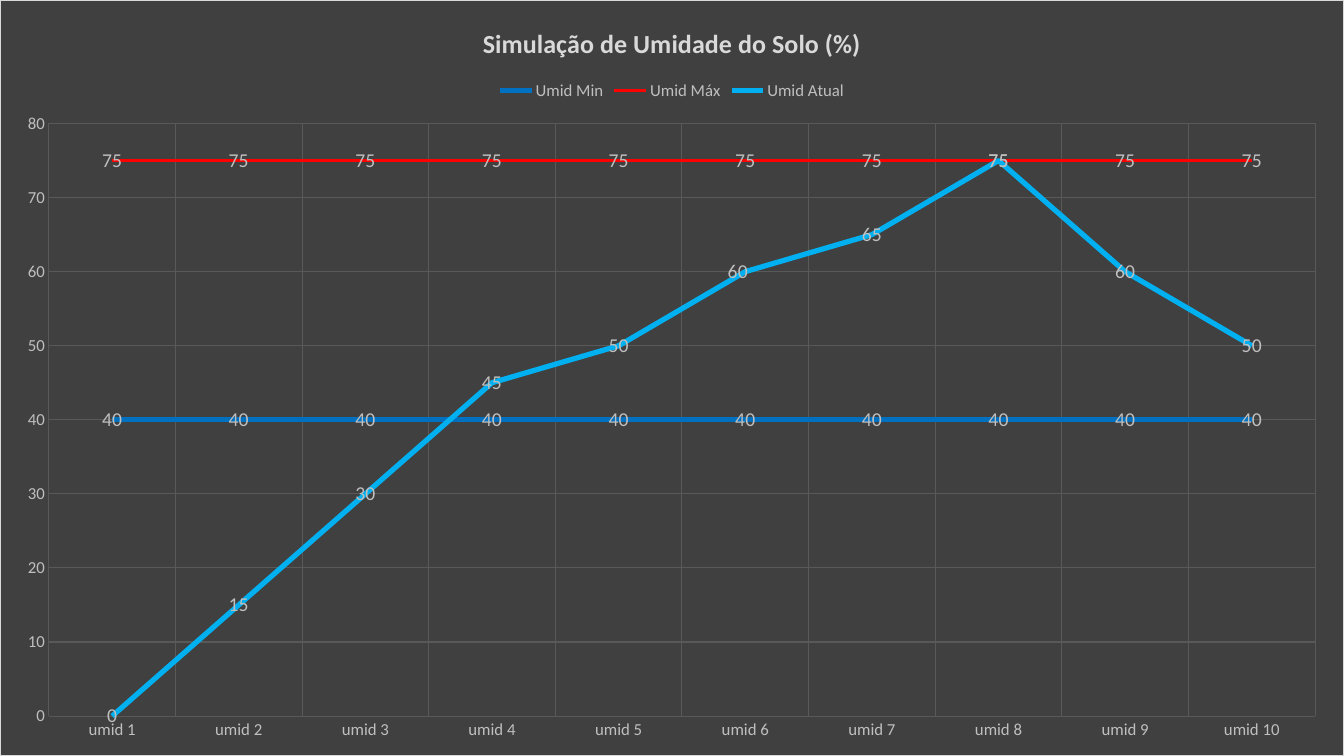
from dataclasses import dataclass

import pptx
import pptx.chart.data
import pptx.dml.color
import pptx.enum.chart
import pptx.oxml
import pptx.oxml.ns
import pptx.util
from pptx.util import Cm, Pt


@dataclass(frozen=True)
class Theme:
    font: str = "Calibri"
    background: str = "404040"
    border: str = "D9D9D9"
    title: str = "D9D9D9"
    text: str = "BFBFBF"
    grid: str = "595959"
    title_size: float = 18.6
    label_size: float = 14
    axis_size: float = 12


THEME = Theme()
MOISTURE = [
    ("Umid Min", [40] * 10, "0070C0", 3.75),
    ("Umid Máx", [75] * 10, "FF0000", 1.75),
    ("Umid Atual", [0, 15, 30, 45, 50, 60, 65, 75, 60, 50], "00B0F0", 3.75),
]
NAMESPACES = pptx.oxml.ns.nsdecls("c", "a")


def set_font(font, size, color=THEME.text, bold=False):
    font.name = THEME.font
    font.size = Pt(size)
    font.bold = bold
    font.color.rgb = pptx.dml.color.RGBColor.from_string(color)


def manual_layout(**settings):
    """Return a c:layout element holding the given settings in schema order."""
    items = "".join(f'<c:{key} val="{value}"/>' for key, value in settings.items())
    return pptx.oxml.parse_xml(
        f"<c:layout {NAMESPACES}><c:manualLayout>{items}</c:manualLayout></c:layout>")


deck = pptx.Presentation()
deck.slide_width, deck.slide_height = Cm(33.87), Cm(19.05)
slide = deck.slides.add_slide(deck.slide_layouts[6])

readings = pptx.chart.data.CategoryChartData()
readings.categories = [f"umid {number}" for number in range(1, 11)]
for name, values, color, width in MOISTURE:
    readings.add_series(name, values)
chart = slide.shapes.add_chart(
    pptx.enum.chart.XL_CHART_TYPE.LINE, Cm(0), Cm(0),
    deck.slide_width, deck.slide_height, readings).chart
set_font(chart.font, THEME.axis_size)

# Chart area fill and border
chart_space = chart.element
chart_space.find(pptx.oxml.ns.qn("c:chart")).addnext(pptx.oxml.parse_xml(
    f'<c:spPr {NAMESPACES}>'
    f'<a:solidFill><a:srgbClr val="{THEME.background}"/></a:solidFill>'
    f'<a:ln w="{Pt(0.75)}"><a:solidFill><a:srgbClr val="{THEME.border}"/></a:solidFill></a:ln>'
    '</c:spPr>'))

# Title and legend
heading = chart.chart_title.text_frame
heading.text = "Simulação de Umidade do Solo (%)"
set_font(heading.paragraphs[0].font, THEME.title_size, THEME.title, bold=True)
chart.chart_title.include_in_layout = False
chart.has_legend = True
chart.legend.position = pptx.enum.chart.XL_LEGEND_POSITION.TOP
chart.legend.include_in_layout = False
set_font(chart.legend.font, THEME.axis_size)

# Plot area
plot_area = chart_space.find(".//" + pptx.oxml.ns.qn("c:plotArea"))
for automatic in plot_area.findall(pptx.oxml.ns.qn("c:layout")):
    plot_area.remove(automatic)
plot_area.insert(0, manual_layout(
    layoutTarget="inner", xMode="edge", yMode="edge", x=0.036, y=0.163, w=0.943, h=0.785))

# Axes
for axis in (chart.category_axis, chart.value_axis):
    axis.major_tick_mark = axis.minor_tick_mark = pptx.enum.chart.XL_TICK_MARK.NONE
    axis.format.line.fill.background()
    axis.has_major_gridlines = True
    gridline = axis.major_gridlines.format.line
    gridline.width = Pt(0.75)
    gridline.color.rgb = pptx.dml.color.RGBColor.from_string(THEME.grid)
    set_font(axis.tick_labels.font, THEME.axis_size)
chart.value_axis.minimum_scale = 0
chart.value_axis.maximum_scale = 80
chart.value_axis.major_unit = 10

# Lines and their value labels
plot = chart.plots[0]
plot.vary_by_categories = False
for series, (name, values, color, width) in zip(plot.series, MOISTURE):
    series.smooth = False
    series.marker.style = pptx.enum.chart.XL_MARKER_STYLE.NONE
    series.format.line.width = Pt(width)
    series.format.line.color.rgb = pptx.dml.color.RGBColor.from_string(color)
    series.data_labels.show_value = True
    series.data_labels.position = pptx.enum.chart.XL_LABEL_POSITION.CENTER
    set_font(series.data_labels.font, THEME.label_size)

# The sixth current reading has its label nudged to the left
current = plot.series[2]
nudged_label = current.points[5].data_label
nudged_label.position = pptx.enum.chart.XL_LABEL_POSITION.CENTER
set_font(nudged_label.font, THEME.label_size)
label_index = current.data_labels._element.find(
    pptx.oxml.ns.qn("c:dLbl")).find(pptx.oxml.ns.qn("c:idx"))
label_index.addnext(manual_layout(x=-0.0056, y=0))

deck.save("out.pptx")
